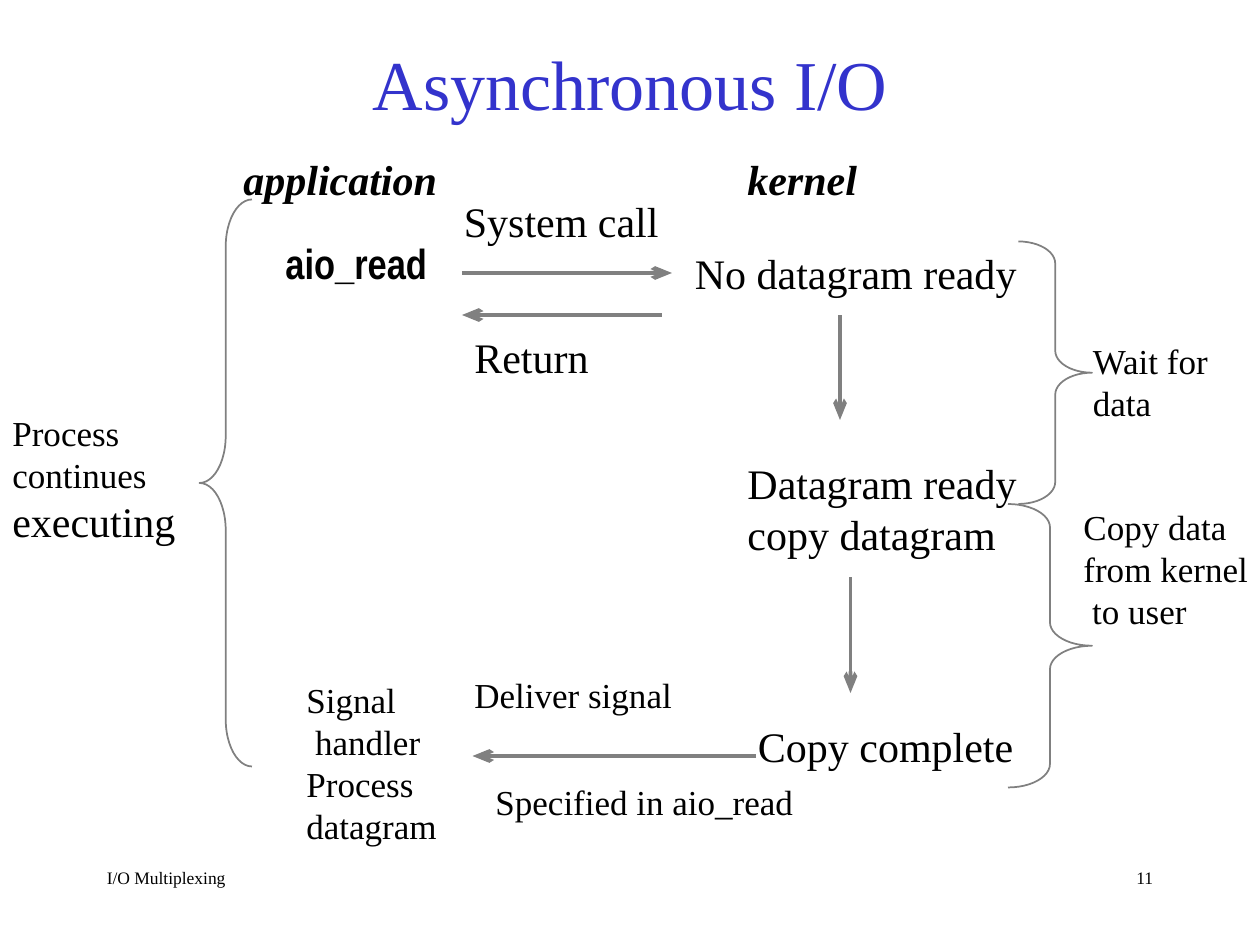
from lxml.etree import SubElement
from pptx import Presentation
from pptx.dml.color import RGBColor
from pptx.enum.shapes import MSO_CONNECTOR as Connector, MSO_SHAPE as Shape
from pptx.enum.text import MSO_ANCHOR as Anchor, MSO_AUTO_SIZE as AutoSize, PP_ALIGN as Align
from pptx.oxml.ns import qn
from pptx.util import Emu, Pt


def px(length):
    return Emu(length * 7620)


def color(value):
    return RGBColor.from_string(value)


def write(paragraph, text, size=24, ink="000000", font="Times New Roman",
          bold=False, italic=False, align=Align.LEFT):
    paragraph.alignment = align
    run = paragraph.add_run()
    run.text = text
    run.font.size = Pt(size)
    run.font.name = font
    run.font.bold = bold
    run.font.italic = italic
    run.font.color.rgb = color(ink)


class Diagram:
    """Draws the elements of a flow diagram on one slide in a shared style."""

    gray = "808080"
    blue = "3333CC"

    def __init__(self, slide):
        self.slide = slide
        self.shapes = slide.shapes

    def title(self, text, left, top, width, height):
        heading = self.shapes.title
        heading.left, heading.top = px(left), px(top)
        heading.width, heading.height = px(width), px(height)
        heading.text_frame.vertical_anchor = Anchor.MIDDLE
        write(heading.text_frame.paragraphs[0], text, size=40, ink=self.blue,
              align=Align.CENTER)

    def footer(self, text, left, align=Align.LEFT):
        frame = self.shapes.add_textbox(px(left), px(820), px(250), px(60)).text_frame
        frame.word_wrap = True
        write(frame.paragraphs[0], text, size=10, align=align)

    def label(self, lines, left, top, width, height, size=24, last_size=None, **style):
        frame = self.shapes.add_textbox(px(left), px(top), px(width), px(height)).text_frame
        frame.word_wrap = True
        frame.auto_size = AutoSize.NONE
        for index, line in enumerate(lines):
            paragraph = frame.add_paragraph() if index else frame.paragraphs[0]
            is_last = index == len(lines) - 1
            write(paragraph, line, size=last_size if is_last and last_size else size, **style)

    def arrow(self, x1, y1, x2, y2):
        connector = self.shapes.add_connector(
            Connector.STRAIGHT, px(x1), px(y1), px(x2), px(y2))
        connector.line.color.rgb = color(self.gray)
        connector.line.width = Pt(2.25)
        SubElement(connector.line._get_or_add_ln(), qn("a:tailEnd"),
                   type="arrow", w="med", len="lg")
        SubElement(connector._element.spPr, qn("a:effectLst"))

    def brace(self, kind, left, top, width, height, curve):
        brace = self.shapes.add_shape(kind, px(left), px(top), px(width), px(height))
        brace.adjustments[0] = curve
        brace.shadow.inherit = False
        brace.fill.background()
        brace.line.color.rgb = color(self.gray)
        brace.line.width = Pt(1)


def main():
    deck = Presentation()
    deck.slide_width, deck.slide_height = px(1200), px(900)
    diagram = Diagram(deck.slides.add_slide(deck.slide_layouts[5]))

    diagram.footer("I/O Multiplexing", 90)
    diagram.footer("11", 860, align=Align.RIGHT)
    diagram.title("Asynchronous I/O", 90, 39, 1020, 80)

    for kind, left, top, width, height, curve in (
        (Shape.LEFT_BRACE, 190, 190, 50, 540, 0.9),
        (Shape.RIGHT_BRACE, 970, 230, 70, 250, 0.3),
        (Shape.RIGHT_BRACE, 960, 480, 80, 270, 0.28),
    ):
        diagram.brace(kind, left, top, width, height, curve)

    for start_x, start_y, end_x, end_y in (
        (440, 260, 640, 260),
        (630, 300, 440, 300),
        (800, 300, 800, 400),
        (810, 550, 810, 660),
        (720, 720, 450, 720),
    ):
        diagram.arrow(start_x, start_y, end_x, end_y)

    for heading, left, width in (("application", 220, 212), ("kernel", 700, 132)):
        diagram.label([heading], left, 140, width, 60, bold=True, italic=True)
    diagram.label(["aio_read"], 260, 220, 162, 60, font="Arial Narrow", bold=True)

    for step, left, top, width, height in (
        (["System call"], 430, 180, 213, 60),
        (["Return"], 440, 310, 136, 60),
        (["No datagram ready"], 650, 230, 334, 60),
        (["Datagram ready", "copy datagram"], 700, 430, 285, 108),
        (["Copy complete"], 710, 680, 270, 60),
    ):
        diagram.label(step, left, top, width, height)

    for note, left, top, width, height in (
        (["Signal", " handler", "Process", "datagram"], 280, 640, 152, 173),
        (["Deliver signal"], 440, 636, 216, 53),
        (["Specified in aio_read"], 460, 737, 311, 53),
        (["Wait for", "data"], 1029, 317, 148, 92),
        (["Copy data", "from kernel", " to user"], 1020, 476, 184, 132),
    ):
        diagram.label(note, left, top, width, height, size=20)
    diagram.label(["Process", "continues", "executing"], 0, 386, 183, 140,
                  size=20, last_size=24)

    deck.save("out.pptx")


if __name__ == "__main__":
    main()
